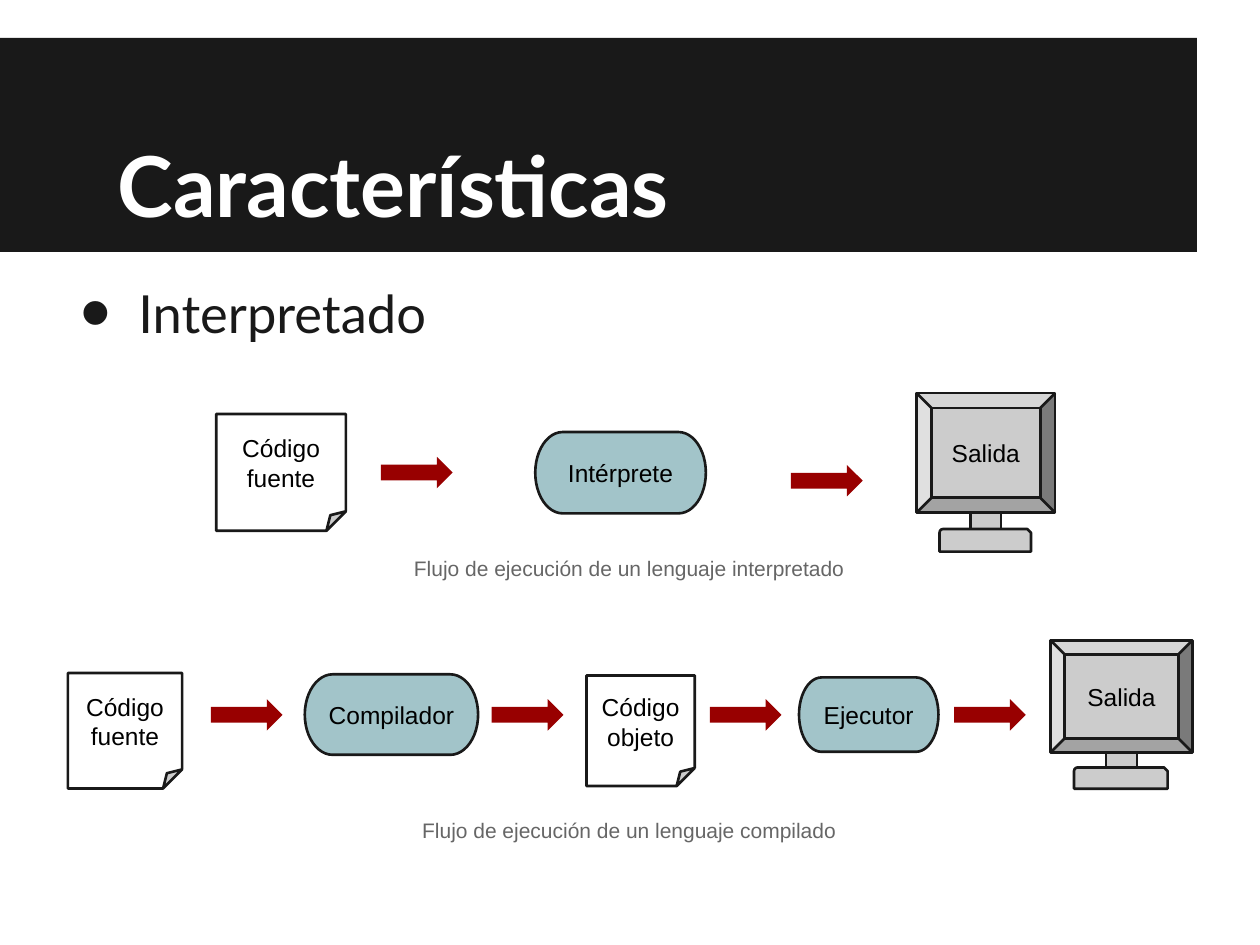
from pptx import Presentation
from pptx.dml.color import RGBColor
from pptx.enum.shapes import MSO_SHAPE
from pptx.enum.text import MSO_ANCHOR, MSO_AUTO_SIZE, PP_ALIGN
from pptx.oxml.ns import qn
from pptx.util import Pt
from lxml import etree

RECT, PAGE = MSO_SHAPE.RECTANGLE, MSO_SHAPE.FOLDED_CORNER
STEP, ARROW = MSO_SHAPE.FLOWCHART_TERMINATOR, MSO_SHAPE.RIGHT_ARROW
BEVEL, FOOT = MSO_SHAPE.BEVEL, MSO_SHAPE.SNIP_ROUND_RECTANGLE
CENTER, LEFT = PP_ALIGN.CENTER, PP_ALIGN.LEFT
MIDDLE, TOP, BOTTOM = MSO_ANCHOR.MIDDLE, MSO_ANCHOR.TOP, MSO_ANCHOR.BOTTOM

# Content: boxes are left, top, width, height in points
INK, WHITE, BLACK = "191919", "FFFFFF", "000000"
TEAL, GRAY, RED, DIM = "A2C4C9", "CCCCCC", "980000", "666666"
TITLE, POINT = "Características", "Interpretado"

NODES = [
    (PAGE, "Código fuente", WHITE, (123.6, 236.6, 74.1, 66.7)),
    (STEP, "Intérprete", TEAL, (305.9, 246.9, 97.5, 46.5)),
    (PAGE, "Código fuente", WHITE, (38.8, 384.6, 65.3, 66)),
    (STEP, "Compilador", TEAL, (174.2, 385.3, 99, 46)),
    (PAGE, "Código objeto", WHITE, (335.2, 386, 61.8, 63.2)),
    (STEP, "Ejecutor", TEAL, (456.6, 387.1, 79.7, 42.5)),
]
SCREENS = [("Salida", (523.8, 224.7, 79.2, 90.5)),
           ("Salida", (600.4, 365.9, 81, 84.8))]
ARROWS = [(217.7, 261), (452, 265.7), (120.5, 399.5), (281, 399.5),
          (405.6, 399.5), (545.2, 399.5)]
NOTES = [("Flujo de ejecución de un lenguaje interpretado", 310.3),
         ("Flujo de ejecución de un lenguaje compilado", 460.1)]

# Monitor parts as shares of the whole monitor, back to front
PARTS = [(RECT, (0.39, 0.7, 0.22, 0.16)),
         (BEVEL, (0, 0, 1, 0.755)),
         (FOOT, (0.165, 0.857, 0.66, 0.143))]


def rgb(code):
    return RGBColor.from_string(code)


def write(shape, text, size, color, font="Arial", bold=False,
          align=CENTER, anchor=MIDDLE):
    frame = shape.text_frame
    frame.text = text
    frame.word_wrap = True
    frame.auto_size = MSO_AUTO_SIZE.NONE
    frame.vertical_anchor = anchor
    frame.margin_left = frame.margin_right = Pt(7.2)
    frame.margin_top = frame.margin_bottom = Pt(7.2)
    para = frame.paragraphs[0]
    para.alignment = align
    face = para.runs[0].font
    face.name, face.size, face.bold = font, Pt(size), bold
    face.color.rgb = rgb(color)
    return para


def draw(home, kind, box, fill, line=INK):
    shape = home.add_shape(kind, *map(Pt, box))
    shape.shadow.inherit = False
    shape.fill.solid()
    shape.fill.fore_color.rgb = rgb(fill)
    if line:
        shape.line.color.rgb = rgb(line)
        shape.line.width = Pt(1.5)
        etree.SubElement(shape.line._ln, qn("a:round"))
    else:
        shape.line.fill.background()
    return shape


def indent(para, left, first):
    props = para._p.get_or_add_pPr()
    props.set("marL", str(Pt(left)))
    props.set("indent", str(Pt(first)))
    return props


def label(shapes, box, *args, **style):
    return write(shapes.add_textbox(*map(Pt, box)), *args, anchor=TOP, **style)


deck = Presentation()
deck.slide_width, deck.slide_height = Pt(720), Pt(540)
slide = deck.slides.add_slide(deck.slide_layouts[5])
shapes = slide.shapes

# Title on its band
band = draw(shapes, RECT, (0, 21.6, 684, 122.4), INK, None)
title = shapes.title
title.left, title.top, title.width, title.height = map(Pt, (36, 21.6, 648, 119.5))
indent(write(title, TITLE, 48, WHITE, "Lato", True, LEFT, BOTTOM), 0, 24)
title._element.addprevious(band._element)

# Bullet point
para = label(shapes, (36, 153.4, 648, 363.6), POINT, 30, INK,
             font="Lato", align=LEFT)
para.space_before = Pt(6)
props = indent(para, 36, -33)
tint = etree.SubElement(props, qn("a:buClr"))
etree.SubElement(tint, qn("a:srgbClr"), val=INK)
etree.SubElement(props, qn("a:buSzPct"), val="167000")
etree.SubElement(props, qn("a:buFont"), typeface="Arial")
etree.SubElement(props, qn("a:buChar"), char="•")

# Pages and steps
for kind, text, fill, box in NODES:
    write(draw(shapes, kind, box, fill), text, 14, BLACK)

# Monitors
for text, (left, top, wide, high) in SCREENS:
    group = shapes.add_group_shape()
    for kind, (x, y, w, h) in PARTS:
        box = left + x * wide, top + y * high, w * wide, h * high
        part = draw(group.shapes, kind, box, GRAY)
        if kind == BEVEL:
            write(part, text, 14, BLACK)

# Arrows and captions
for left, top in ARROWS:
    draw(shapes, ARROW, (left, top, 41, 18), RED, None)
for text, top in NOTES:
    label(shapes, (190.8, top, 337.7, 25.2), text, 12, DIM)

deck.save("out.pptx")
